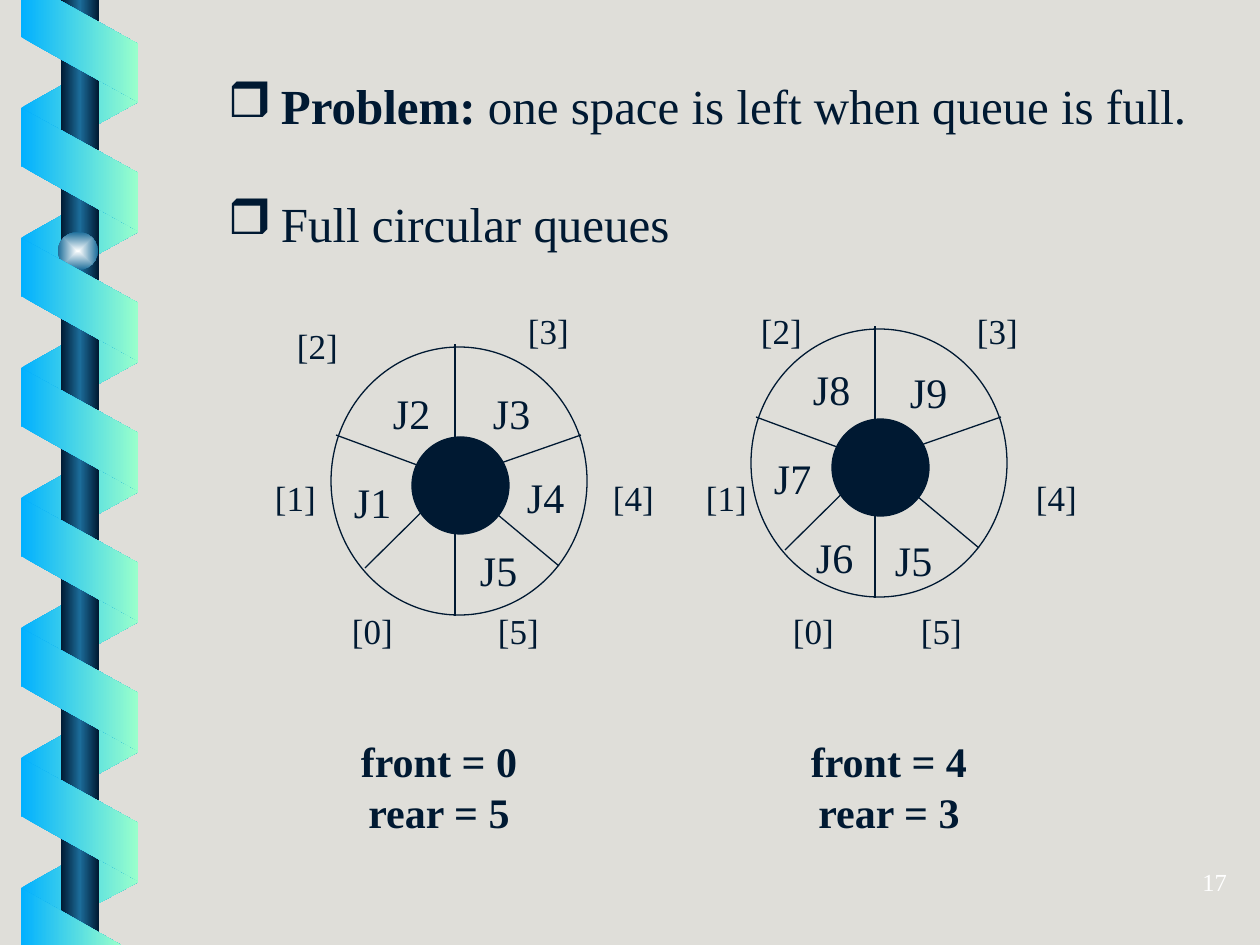
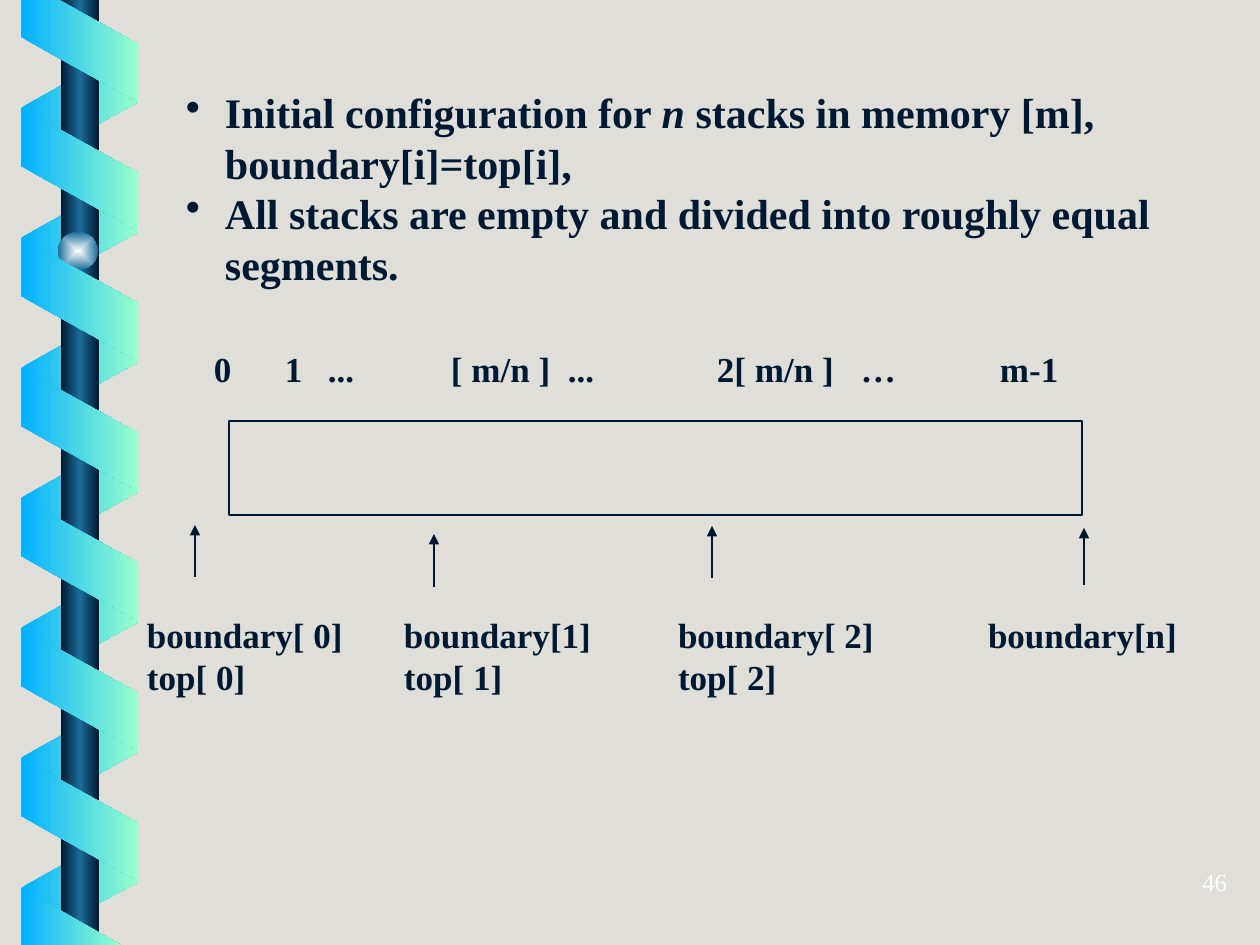
"""Build two slides on circular queues and on several stacks in one array."""
from lxml import etree
from pptx import Presentation, util as u
from pptx.dml.color import RGBColor
from pptx.enum import shapes, text
from pptx.oxml import parse_xml
from pptx.oxml.ns import nsdecls, qn

PX = 914400 / 126
WIDTH, HEIGHT = 1260, 945
FONT = "Times New Roman"
COLORS = {
    "background": "DFDED9", "ink": "001932", "white": "FFFFFF",
    "ribbon_left": "01B0FF", "ribbon_right": "99FFCC",
    "pole": "1C6D9A", "shine": "FEFFFF",
}
LINEAR = '<a:lin ang="0" scaled="0"/>'
RADIAL = '<a:path path="rect"><a:fillToRect l="50000" t="50000" r="50000" b="50000"/></a:path>'

RIBBON_LEFT, RIBBON_RIGHT, RIBBON_PITCH = 21, 138, 130

WHEEL_SIZE = (256, 268)
WHEEL_CENTER = (124, 132)
HUB = (81, 90, 97, 97)
SPOKE_ENDS = [(124, 269), (124, -3), (5, 88), (34, 221), (250, 88), (228, 219)]


def px(n):
    """Turn px into EMU."""
    return u.Emu(round(n * PX))


def rgb(name):
    """Look up a named colour."""
    return RGBColor.from_string(COLORS[name])


def gradient(sp, names, direction=LINEAR):
    """Fill a shape with evenly spaced gradient stops and no line."""
    sp.shadow.inherit = False
    sp.line.fill.background()
    sp.fill.gradient()
    step = 100000 // (len(names) - 1)
    stops = "".join(
        f'<a:gs pos="{i * step}"><a:srgbClr val="{COLORS[name]}"/></a:gs>'
        for i, name in enumerate(names))
    old = sp.element.spPr.find(qn("a:gradFill"))
    new = parse_xml(f'<a:gradFill {nsdecls("a")} rotWithShape="1">'
                    f"<a:gsLst>{stops}</a:gsLst>{direction}</a:gradFill>")
    old.getparent().replace(old, new)


def add_preset(s, kind, box):
    """Add a preset shape in a px box."""
    return s.shapes.add_shape(kind, *map(px, box))


def add_outlined(s, kind, box, filled=False):
    """Add a thin-lined shape, hollow or filled with ink."""
    sp = add_preset(s, kind, box)
    sp.shadow.inherit = False
    if filled:
        sp.fill.solid()
        sp.fill.fore_color.rgb = rgb("ink")
    else:
        sp.fill.background()
    sp.line.color.rgb = rgb("ink")
    sp.line.width = u.Pt(0.75)


def add_line(s, start, end, arrow=False):
    """Add a thin line, with an arrowhead at its end if asked."""
    line = s.shapes.add_connector(
        shapes.MSO_CONNECTOR.STRAIGHT, *map(px, (*start, *end)))
    line.line.color.rgb = rgb("ink")
    line.line.width = u.Pt(0.75)
    spPr = line.element.spPr
    if arrow:
        etree.SubElement(spPr.find(qn("a:ln")), qn("a:tailEnd"), type="triangle")
    etree.SubElement(spPr, qn("a:effectLst"))


def add_ribbon(s, points):
    """Add one turn of the ribbon through its corner points."""
    builder = s.shapes.build_freeform(*points[0], scale=PX)
    builder.add_line_segments(points[1:], close=True)
    gradient(builder.convert_to_shape(), ["ribbon_left", "ribbon_right"])


def set_bullet(p, char, indent):
    """Give a paragraph a hanging bullet."""
    pPr = p._p.get_or_add_pPr()
    pPr.set("marL", str(px(indent)))
    pPr.set("indent", str(-px(indent)))
    clr = etree.SubElement(pPr, qn("a:buClr"))
    etree.SubElement(clr, qn("a:srgbClr"), val=COLORS["ink"])
    etree.SubElement(pPr, qn("a:buChar"), char=char)


def add_text(s, box, lines, size, bold=False, color="ink",
             align=text.PP_ALIGN.LEFT, bullet=None, gap=0):
    """Add a text box; a line is a string or a list of (text, style) runs."""
    tf = s.shapes.add_textbox(*map(px, box)).text_frame
    tf.margin_left = tf.margin_right = tf.margin_top = tf.margin_bottom = 0
    tf.word_wrap = True
    for i, line in enumerate(lines):
        p = tf.add_paragraph() if i else tf.paragraphs[0]
        if bullet:
            set_bullet(p, *bullet)
        p.alignment = align
        p.line_spacing = u.Pt(size * 1.2)
        if i and gap:
            p.space_before = u.Pt(gap)
        runs = [(line, "b" if bold else "")] if isinstance(line, str) else line
        for words, style in runs:
            r = p.add_run()
            r.text = words
            r.font.name, r.font.size = FONT, u.Pt(size)
            r.font.bold, r.font.italic = "b" in style, "i" in style
            r.font.color.rgb = rgb(color)


def add_labels(s, labels, size, width, bold=False):
    """Add single-line labels given as (text, left, top)."""
    for words, x, y in labels:
        add_text(s, (x, y, width, 50), [words], size, bold)


def add_spiral(s):
    """Add the pole with the ribbon winding round it."""
    left, right = RIBBON_LEFT, RIBBON_RIGHT
    turns = [RIBBON_PITCH * k for k in range(7)]
    for y in turns:
        add_ribbon(s, [(right, y + 43), (right, y + 102),
                       (left, min(y + 167, HEIGHT)), (left, y + 108)])
    pole = add_preset(s, shapes.MSO_SHAPE.RECTANGLE, (61, 0, 38, HEIGHT))
    gradient(pole, ["ink", "pole", "ink"])
    ball = add_preset(s, shapes.MSO_SHAPE.OVAL, (58, 232, 40, 38))
    gradient(ball, ["shine", "pole"], RADIAL)
    for y in turns[:-1]:
        add_ribbon(s, [(left, y + 108), (right, y + 173),
                       (right, y + 231), (left, y + 166)])
    add_ribbon(s, [(left, 0), (left, 37), (right, 102), (right, 44), (59, 0)])
    add_ribbon(s, [(left, 888), (121, HEIGHT), (left, HEIGHT)])


def add_base(prs, number):
    """Add a slide with the spiral and its slide number."""
    s = prs.slides.add_slide(prs.slide_layouts[6])
    add_spiral(s)
    add_text(s, (1127, 867, 100, 30), [number], 14, color="white",
             align=text.PP_ALIGN.RIGHT)
    return s


def add_wheel(s, x, y):
    """Add a circular queue of six cells."""
    center = (x + WHEEL_CENTER[0], y + WHEEL_CENTER[1])
    for dx, dy in SPOKE_ENDS:
        add_line(s, center, (x + dx, y + dy))
    add_outlined(s, shapes.MSO_SHAPE.OVAL, (x, y, *WHEEL_SIZE))
    hub_x, hub_y, *hub_size = HUB
    add_outlined(s, shapes.MSO_SHAPE.OVAL, (x + hub_x, y + hub_y, *hub_size), filled=True)


def add_queue_slide(prs):
    """Add the slide on full circular queues."""
    s = add_base(prs, "17")
    add_text(s, (228, 76, 1010, 180),
             [[("Problem: ", "b"), ("one space is left when queue is full.", "")],
              "Full circular queues"],
             28, bullet=("❒", 53), gap=33.6)
    add_wheel(s, 331, 347)
    add_wheel(s, 751, 329)
    add_labels(s, [
        ("J1", 354, 477), ("J2", 393, 388), ("J3", 493, 388),
        ("J4", 527, 472), ("J5", 480, 545),
        ("J5", 895, 535), ("J6", 816, 532), ("J7", 774, 453),
        ("J8", 813, 364), ("J9", 910, 367)], 24, 60)
    add_labels(s, [
        ("[0]", 352, 610), ("[1]", 275, 477), ("[2]", 297, 325),
        ("[3]", 528, 310), ("[4]", 613, 477), ("[5]", 498, 610),
        ("[0]", 793, 610), ("[1]", 706, 477), ("[2]", 761, 310),
        ("[3]", 977, 310), ("[4]", 1036, 477), ("[5]", 921, 610)], 20, 60)
    for center, front, rear in [(439, 0, 5), (889, 4, 3)]:
        add_text(s, (center - 120, 736, 240, 102),
                 [f"front = {front}", f"rear = {rear}"], 24, bold=True,
                 align=text.PP_ALIGN.CENTER)


def add_stacks_slide(prs):
    """Add the slide on the initial configuration of n stacks."""
    s = add_base(prs, "46")
    add_text(s, (186, 87, 996, 202),
             [[("Initial configuration for ", "b"), ("n ", "bi"),
               ("stacks in memory [m], boundary[i]=top[i],", "b")],
              "All stacks are empty and divided into roughly equal segments."],
             24, bold=True, bullet=("•", 39))
    add_labels(s, [(words, x, 348) for words, x in [
        ("0", 214), ("1", 285), ("...", 328), ("[ m/n ]", 451), ("...", 568),
        ("2[ m/n ]", 717), ("…", 861), ("m-1", 1000)]], 20, 140, bold=True)
    add_outlined(s, shapes.MSO_SHAPE.RECTANGLE, (229, 421, 853, 94))
    for x, bottom, tip in [(195, 577, 525), (434, 587, 534),
                           (712, 578, 526), (1084, 585, 528)]:
        add_line(s, (x, bottom), (x, tip), arrow=True)
    for x, lines in [(147, ["boundary[ 0]", "top[ 0]"]),
                     (404, ["boundary[1]", "top[ 1]"]),
                     (678, ["boundary[ 2]", "top[ 2]"]),
                     (988, ["boundary[n]"])]:
        add_text(s, (x, 614, 220, 42 * len(lines)), lines, 20, bold=True)


def main():
    """Build and save the presentation."""
    prs = Presentation()
    prs.slide_width, prs.slide_height = px(WIDTH), px(HEIGHT)
    fill = prs.slide_master.background.fill
    fill.solid()
    fill.fore_color.rgb = rgb("background")
    add_queue_slide(prs)
    add_stacks_slide(prs)
    prs.save("out.pptx")


if __name__ == "__main__":
    main()
